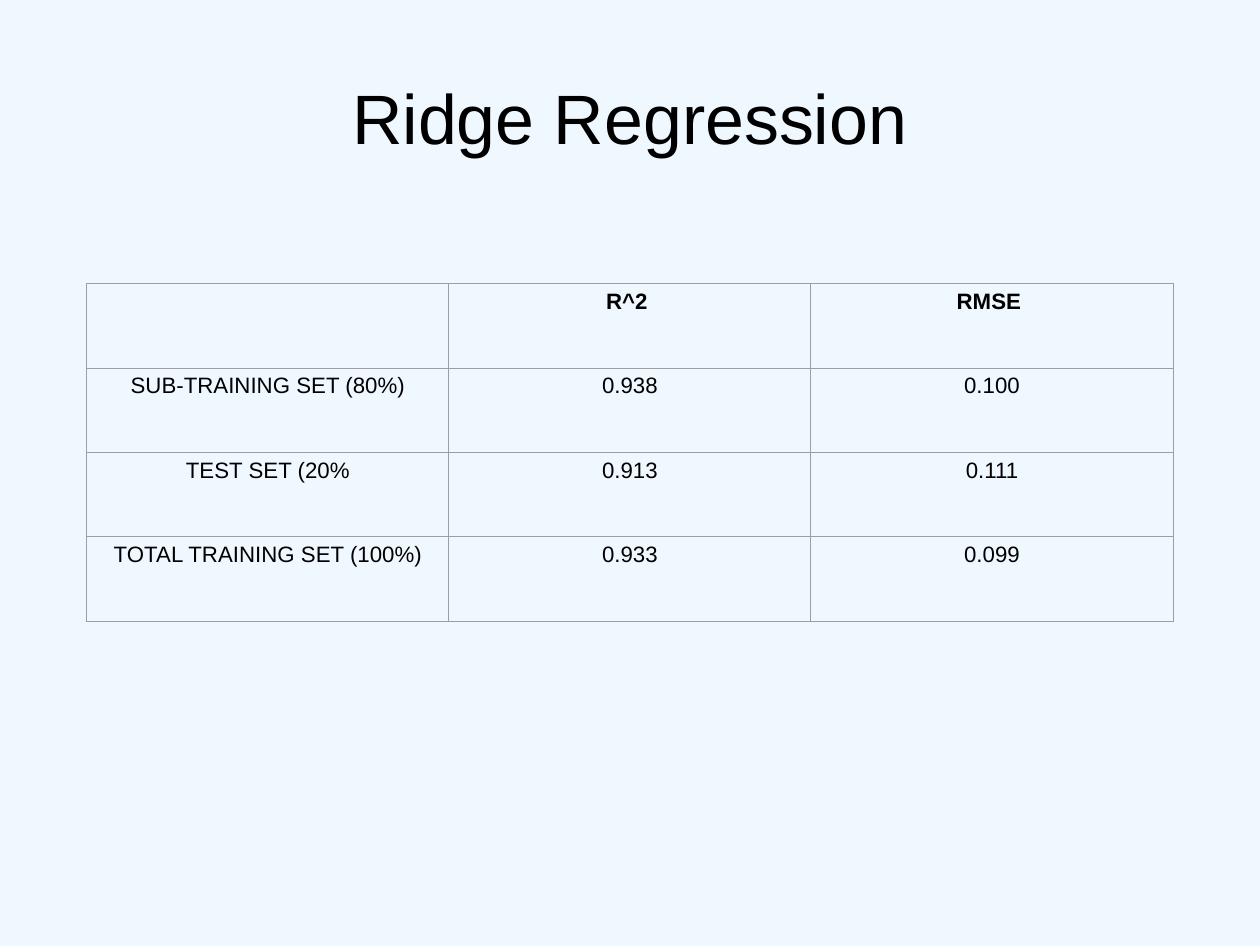
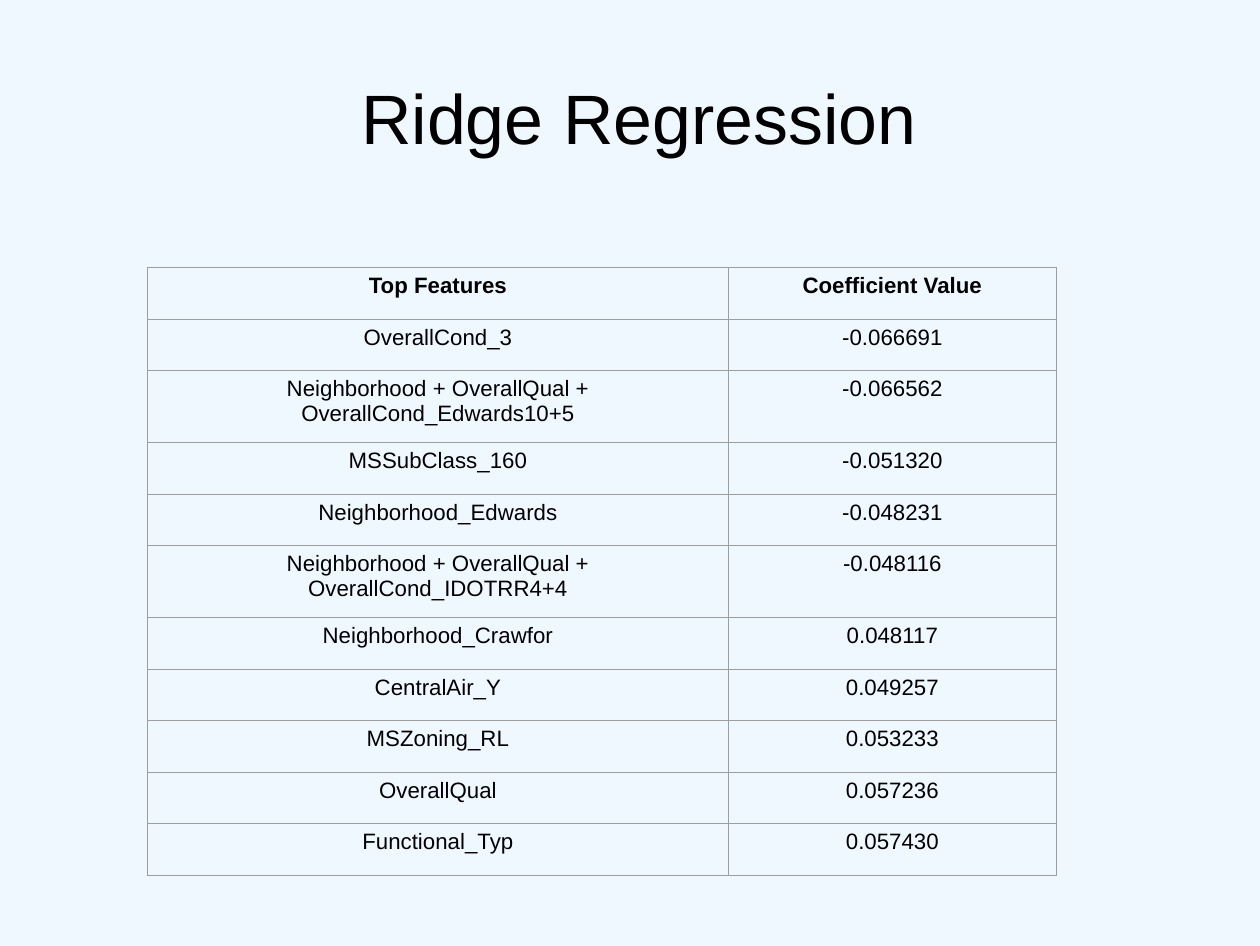
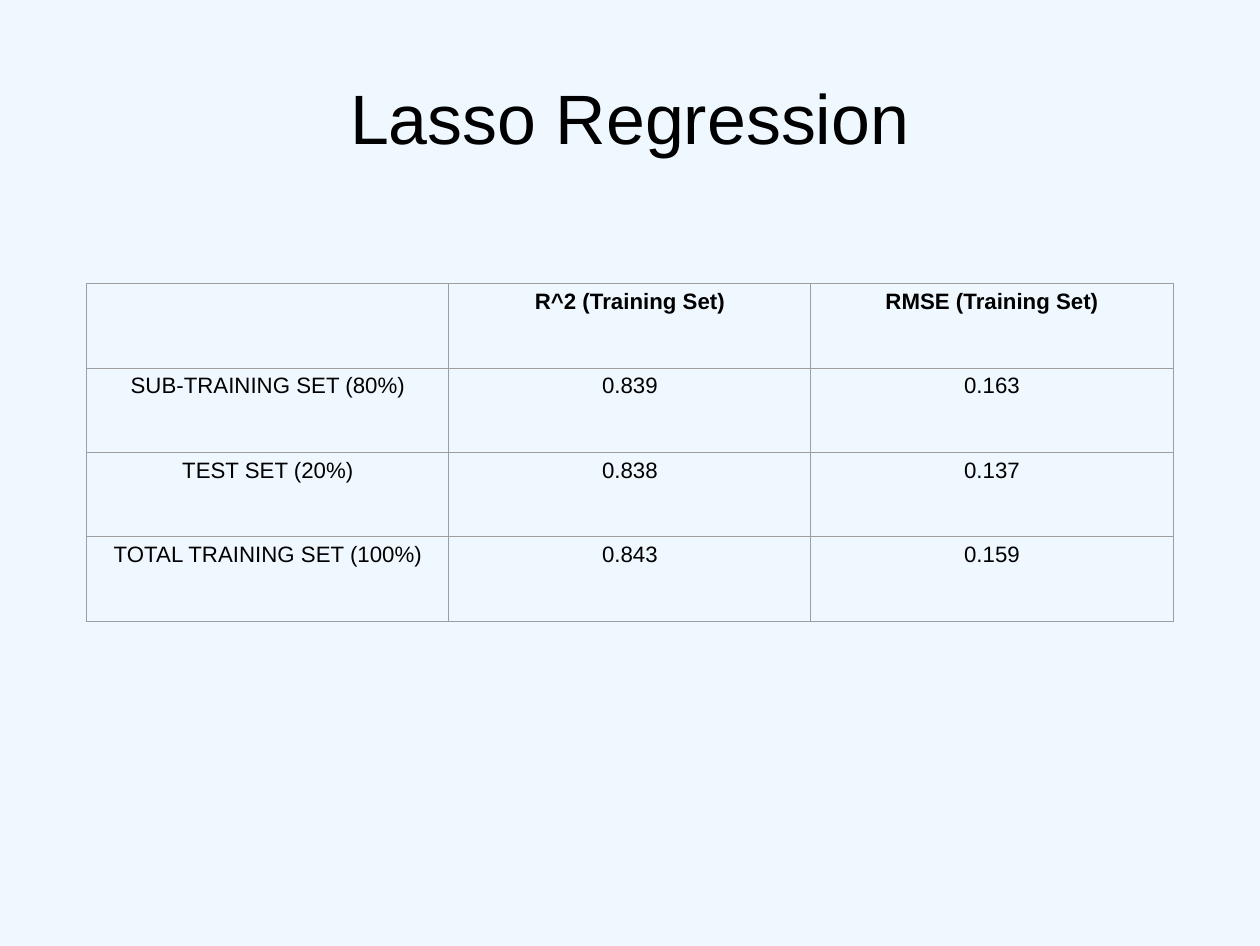
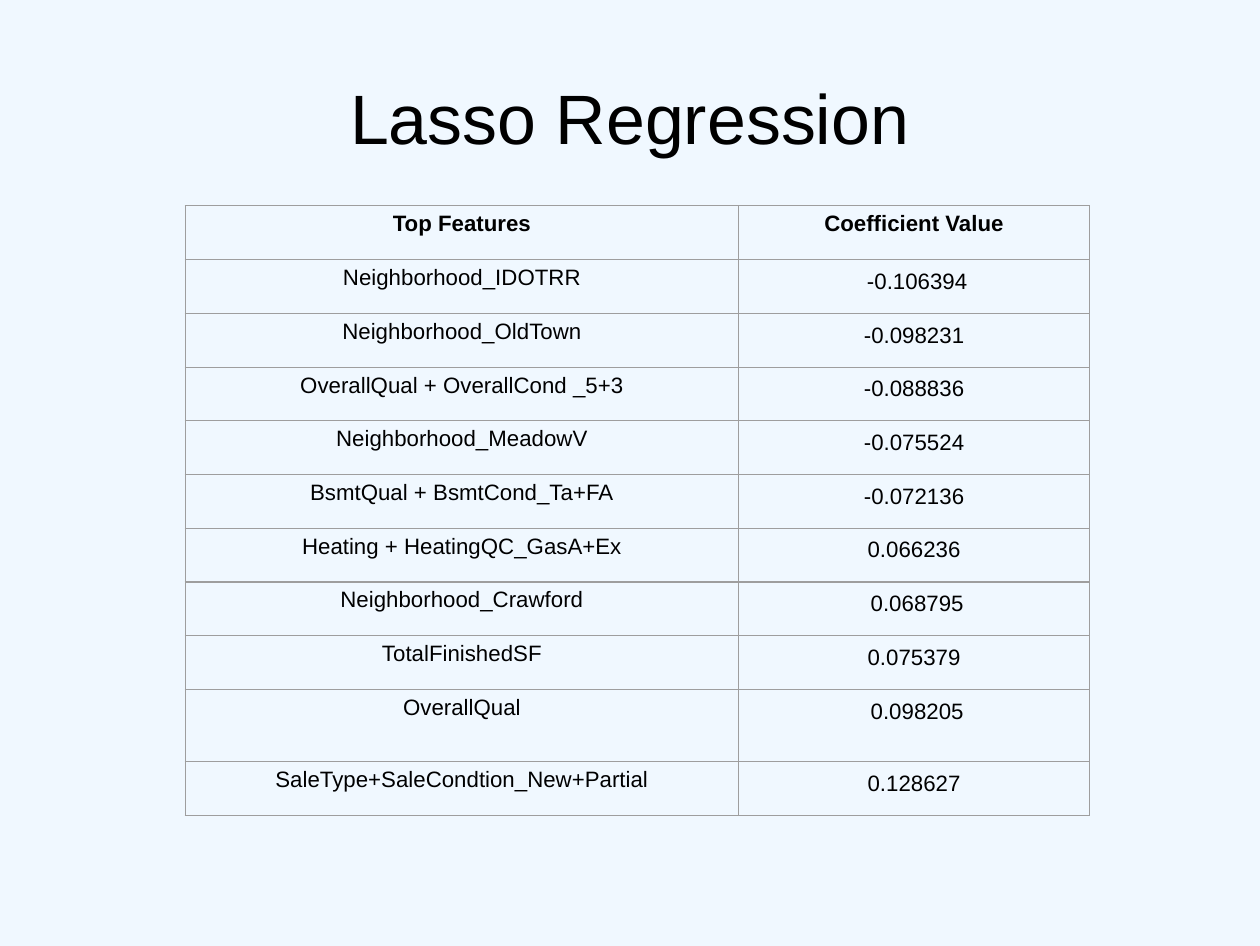
from dataclasses import dataclass, field

from pptx import Presentation
from pptx.dml.color import RGBColor
from pptx.enum.text import MSO_ANCHOR, PP_ALIGN
from pptx.oxml import parse_xml
from pptx.oxml.ns import nsdecls
from pptx.util import Inches, Pt

BACKGROUND = RGBColor(0xF0, 0xF8, 0xFF)
INK = RGBColor(0x00, 0x00, 0x00)
GRID = RGBColor(0x9E, 0x9E, 0x9E)
FONT = "Arial"
TITLE_SIZE = 44
CELL_SIZE = 14
BORDER_WIDTH = Pt(0.75)


@dataclass(frozen=True)
class TableSlide:
    title: str
    left: float
    top: float
    col_widths: tuple[float, ...]
    row_height: float
    rows: tuple[tuple[str, ...], ...]
    tall_rows: dict[int, float] = field(default_factory=dict)
    title_left: float = 0.55
    value_spacing: float | None = None


SCORE_GRID = dict(left=0.76, top=2.48, col_widths=(9.5 / 3,) * 3, row_height=2.95 / 4)
FEATURE_HEADER = ("Top Features", "Coefficient Value")

SLIDES = (
    TableSlide(
        title="Ridge Regression",
        **SCORE_GRID,
        rows=(
            ("", "R^2 ", "RMSE "),
            ("SUB-TRAINING SET (80%)", "0.938", "0.100"),
            ("TEST SET (20%", "0.913", "0.111"),
            ("TOTAL TRAINING SET (100%)", "0.933", "0.099"),
        ),
    ),
    TableSlide(
        title="Ridge Regression",
        title_left=0.63,
        left=1.29,
        top=2.34,
        col_widths=(5.08, 2.87),
        row_height=0.45,
        tall_rows={2: 0.63, 5: 0.63},
        rows=(
            FEATURE_HEADER,
            ("OverallCond_3", "-0.066691"),
            ("Neighborhood + OverallQual + OverallCond_Edwards10+5", "-0.066562"),
            ("MSSubClass_160", "-0.051320"),
            ("Neighborhood_Edwards", "-0.048231"),
            ("Neighborhood + OverallQual + OverallCond_IDOTRR4+4", "-0.048116"),
            ("Neighborhood_Crawfor", "0.048117"),
            ("CentralAir_Y", "0.049257"),
            ("MSZoning_RL", "0.053233"),
            ("OverallQual", "0.057236"),
            ("Functional_Typ", "0.057430"),
        ),
    ),
    TableSlide(
        title="Lasso Regression",
        **SCORE_GRID,
        rows=(
            ("", "R^2 (Training Set)", "RMSE (Training Set)"),
            ("SUB-TRAINING SET (80%)", "0.839", "0.163"),
            ("TEST SET (20%)", "0.838", "0.137"),
            ("TOTAL TRAINING SET (100%)", "0.843", "0.159"),
        ),
    ),
    TableSlide(
        title="Lasso Regression",
        left=1.62,
        top=1.8,
        col_widths=(4.84, 3.07),
        row_height=0.47,
        tall_rows={9: 0.63},
        value_spacing=1.15,
        rows=(
            FEATURE_HEADER,
            ("Neighborhood_IDOTRR", " -0.106394"),
            ("Neighborhood_OldTown", "-0.098231"),
            ("OverallQual + OverallCond _5+3", "-0.088836"),
            ("Neighborhood_MeadowV", "-0.075524"),
            ("BsmtQual + BsmtCond_Ta+FA", "-0.072136"),
            ("Heating + HeatingQC_GasA+Ex", "0.066236"),
            ("Neighborhood_Crawford", " 0.068795"),
            ("TotalFinishedSF", "0.075379"),
            ("OverallQual", " 0.098205"),
            ("SaleType+SaleCondtion_New+Partial", "0.128627"),
        ),
    ),
)


def write(p, text: str, size: int, bold: bool = False) -> None:
    p.alignment = PP_ALIGN.CENTER
    r = p.add_run()
    r.text = text
    r.font.name = FONT
    r.font.size = Pt(size)
    r.font.bold = bold
    r.font.color.rgb = INK


def add_title(s, text: str, left: float) -> None:
    sp = s.shapes.add_textbox(Inches(left), Inches(0.33), Inches(9.92), Inches(1.38))
    tf = sp.text_frame
    tf.word_wrap = True
    tf.vertical_anchor = MSO_ANCHOR.MIDDLE
    tf.margin_left = tf.margin_top = tf.margin_right = tf.margin_bottom = 0
    write(tf.paragraphs[0], text, TITLE_SIZE)


def style_cell(cell) -> None:
    tc_pr = cell._tc.get_or_add_tcPr()
    for side in ("lnL", "lnR", "lnT", "lnB"):
        tc_pr.append(parse_xml(
            f'<a:{side} {nsdecls("a")} w="{BORDER_WIDTH}"><a:solidFill>'
            f'<a:srgbClr val="{GRID}"/></a:solidFill></a:{side}>'
        ))
    cell.fill.background()
    cell.margin_left = cell.margin_right = Inches(0.1)
    cell.margin_top = cell.margin_bottom = Inches(0.05)


def add_grid(s, data: TableSlide) -> None:
    heights = [data.tall_rows.get(i, data.row_height) for i in range(len(data.rows))]
    table = s.shapes.add_table(
        len(heights), len(data.col_widths), Inches(data.left), Inches(data.top),
        Inches(sum(data.col_widths)), Inches(sum(heights)),
    ).table
    table.first_row = table.horz_banding = False
    for col, width in zip(table.columns, data.col_widths):
        col.width = Inches(width)
    for i, (height, texts) in enumerate(zip(heights, data.rows)):
        table.rows[i].height = Inches(height)
        for j, text in enumerate(texts):
            cell = table.cell(i, j)
            style_cell(cell)
            if not text:
                continue
            p = cell.text_frame.paragraphs[0]
            write(p, text, CELL_SIZE, bold=i == 0)
            if i and j and data.value_spacing:
                p.line_spacing = data.value_spacing


def main() -> None:
    prs = Presentation()
    prs.slide_width, prs.slide_height = Inches(11.02), Inches(8.27)
    fill = prs.slide_master.background.fill
    fill.solid()
    fill.fore_color.rgb = BACKGROUND
    for data in SLIDES:
        s = prs.slides.add_slide(prs.slide_layouts[6])
        add_title(s, data.title, data.title_left)
        add_grid(s, data)
    prs.save("out.pptx")


if __name__ == "__main__":
    main()
